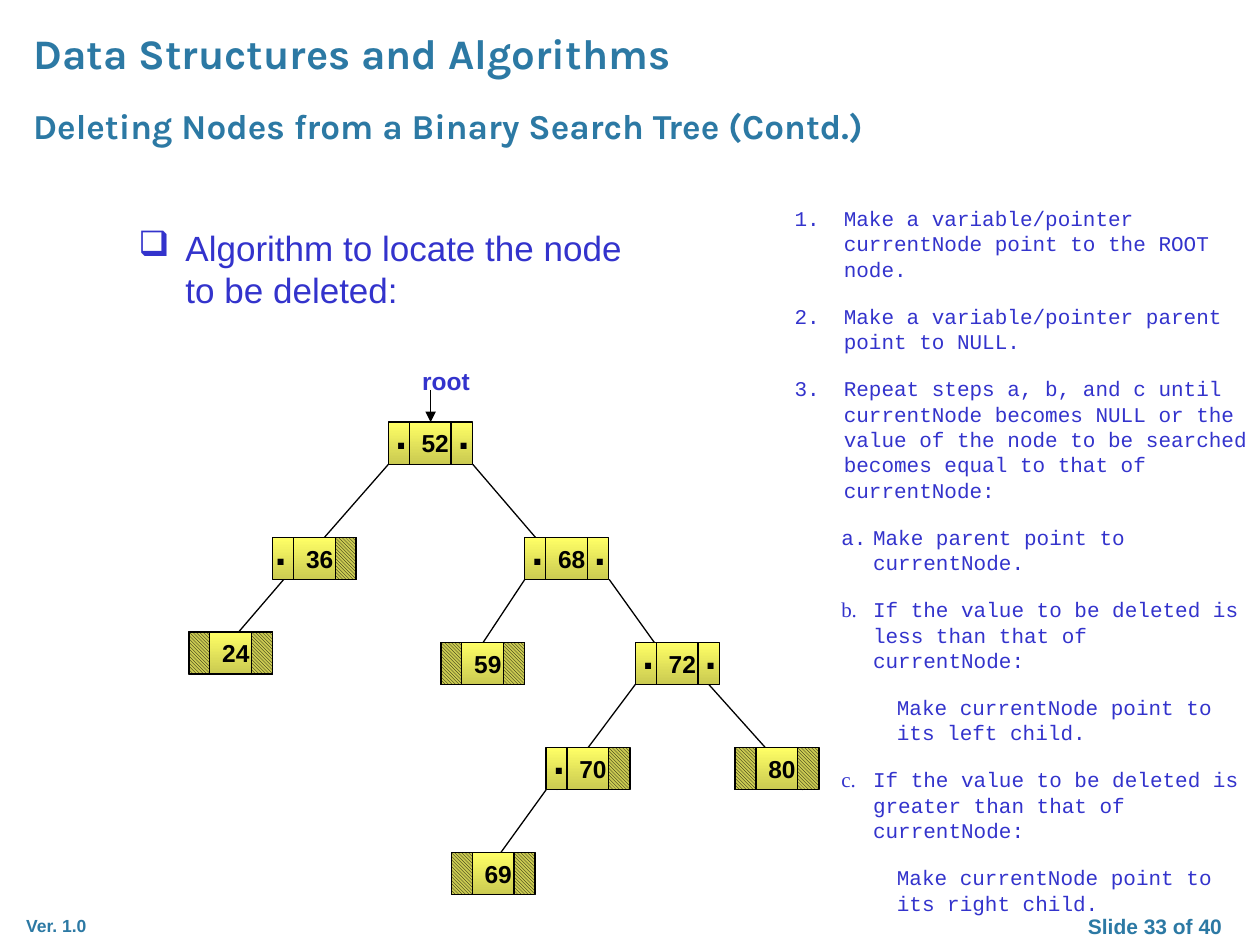
"""Build the slide on locating a node to delete in a binary search tree."""
from dataclasses import dataclass
from typing import NamedTuple

from lxml import etree
from pptx import Presentation
from pptx import util as u
from pptx.dml.color import RGBColor
from pptx.enum import dml, shapes, text
from pptx.oxml.ns import qn

COLORS = {"heading": "2C79A4", "body": "3333CC", "ink": "000000",
          "node_top": "FFFF66", "node_bottom": "CACA51"}
CELL, NODE_WIDTH, NODE_HEIGHT = 0.42, 1.69, 0.85


@dataclass
class Label:
    words: str
    left: float
    top: float
    width: float
    height: float
    size: float
    color: str = "ink"
    font: str = "Arial"
    bold: bool = True
    wrap: bool = True
    align: text.PP_ALIGN = text.PP_ALIGN.LEFT


@dataclass
class Node:
    key: str
    left: float
    top: float
    left_child: bool = False
    right_child: bool = False
    dot_shift: float = -0.11


class Edge(NamedTuple):
    x1: float
    y1: float
    x2: float
    y2: float


class Step(NamedTuple):
    words: str
    margin: float
    indent: float
    numbering: str = ""
    start: int = 1
    marker: str = ""


HEADINGS = [
    Label("Data Structures and Algorithms", 0.42, 0.42, 21.17, 1.29, 24, "heading", "Karla"),
    Label("Deleting Nodes from a Binary Search Tree (Contd.)", 0.42, 1.98, 19.05, 1.1, 20,
          "heading", "Karla"),
    Label("Ver. 1.0", 0.28, 18.33, 2.01, 0.68, 10, "heading"),
    Label("Slide 33 of 40", 21.17, 18.29, 4.23, 0.77, 12, "heading",
          align=text.PP_ALIGN.CENTER),
    Label("root", 8.26, 7.25, 2.12, 0.85, 14, "body"),
]
TOPIC = Label("Algorithm to locate the node to be deleted:", 2.54, 4.45, 11, 2.33, 20,
              "body", bold=False)
NODES = [
    Node("52", 7.83, 8.51, True, True),
    Node("36", 5.5, 10.84, True, dot_shift=-0.21),
    Node("68", 10.58, 10.84, True, True),
    Node("24", 3.81, 12.74),
    Node("59", 8.89, 12.95),
    Node("72", 12.81, 12.95, True, True),
    Node("70", 11.01, 15.07, True),
    Node("80", 14.82, 15.07),
    Node("69", 9.1, 17.19),
]
EDGES = [
    Edge(7.83, 9.36, 6.35, 11.05),
    Edge(9.53, 9.36, 10.8, 10.84),
    Edge(5.72, 11.68, 4.45, 13.16),
    Edge(10.58, 11.68, 9.74, 12.95),
    Edge(12.28, 11.68, 13.34, 13.16),
    Edge(13.12, 13.38, 11.22, 15.92),
    Edge(14.29, 13.8, 16.19, 15.92),
    Edge(11.01, 15.92, 9.95, 17.39),
]
ROOT_ARROW = Edge(8.68, 7.87, 8.68, 8.51)
STEPS = [
    Step("Make a variable/pointer currentNode point to the ROOT node.",
         0.99, -0.99, "arabicPeriod"),
    Step("Make a variable/pointer parent point to NULL.", 0.99, -0.99, "arabicPeriod", 2),
    Step("Repeat steps a, b, and c until currentNode becomes NULL or the value of the node "
         "to be searched becomes equal to that of currentNode:",
         0.99, -0.99, "arabicPeriod", 3),
    Step("Make parent point to currentNode.", 1.58, -0.64, "alphaLcPeriod"),
    Step("If the value to be deleted is less than that of currentNode:", 1.58, -0.64,
         marker="b."),
    Step("Make currentNode point to its left child.", 2.06, 0),
    Step("If the value to be deleted is greater than that of currentNode:", 1.58, -0.64,
         marker="c."),
    Step("Make currentNode point to its right child.", 2.06, 0),
]


def rgb(name: str) -> RGBColor:
    return RGBColor.from_string(COLORS[name])


def add_label(slide, label: Label):
    box = slide.shapes.add_textbox(*map(u.Cm, (label.left, label.top, label.width, label.height)))
    frame = box.text_frame
    frame.word_wrap = label.wrap
    line = frame.paragraphs[0]
    line.text = label.words
    line.alignment = label.align
    line.font.name, line.font.size, line.font.bold = label.font, u.Pt(label.size), label.bold
    line.font.color.rgb = rgb(label.color)
    return line


def set_indent(paragraph, margin: float, indent: float):
    props = paragraph._p.get_or_add_pPr()
    props.set("marL", str(u.Cm(margin)))
    props.set("indent", str(u.Cm(indent)))
    return props


def add_line(slide, edge: Edge, arrow: bool = False) -> None:
    line = slide.shapes.add_connector(shapes.MSO_CONNECTOR.STRAIGHT, *map(u.Cm, edge))
    line.line.color.rgb = rgb("ink")
    line.line.width = u.Pt(0.75)
    if arrow:
        etree.SubElement(line.line._get_or_add_ln(), qn("a:tailEnd"), type="triangle")
    etree.SubElement(line._element.spPr, qn("a:effectLst"))


def add_cell(slide, left: float, top: float, width: float, hatched: bool) -> None:
    cell = slide.shapes.add_shape(shapes.MSO_SHAPE.RECTANGLE,
                                  *map(u.Cm, (left, top, width, NODE_HEIGHT)))
    cell.shadow.inherit = False
    cell.line.color.rgb = rgb("ink")
    cell.line.width = u.Pt(0.75)
    if hatched:
        cell.fill.patterned()
        cell.fill.pattern = dml.MSO_PATTERN.DARK_DOWNWARD_DIAGONAL
        cell.fill.fore_color.rgb = rgb("ink")
        cell.fill.back_color.rgb = rgb("node_bottom")
    else:
        cell.fill.gradient()
        cell.fill.gradient_angle = 270
        for stop, name in zip(cell.fill.gradient_stops, ("node_top", "node_bottom")):
            stop.color.rgb = rgb(name)


def add_node(slide, node: Node) -> None:
    add_cell(slide, node.left, node.top, NODE_WIDTH, False)
    for offset in (CELL, 3 * CELL):
        x = node.left + offset
        add_line(slide, Edge(x, node.top, x, node.top + NODE_HEIGHT))
    for has_child, offset in ((node.left_child, 0), (node.right_child, 3 * CELL)):
        x = node.left + offset
        if has_child:
            add_label(slide, Label(".", x + node.dot_shift, node.top - CELL, 0.74, 1.27, 24,
                                   wrap=False))
        else:
            add_cell(slide, x, node.top, CELL, True)
    add_label(slide, Label(node.key, node.left + CELL, node.top, 1.07, NODE_HEIGHT, 14,
                           wrap=False))


def add_steps(slide) -> None:
    frame = slide.shapes.add_textbox(u.Cm(15.77), u.Cm(4.02), u.Cm(9.65), u.Cm(14.63)).text_frame
    frame.word_wrap = True
    for index, step in enumerate(STEPS):
        line = frame.add_paragraph() if index else frame.paragraphs[0]
        line.line_spacing = u.Pt(14.45)
        line.space_before = u.Pt(12.5 if index else 0)
        line.font.size = u.Pt(12)
        line.font.color.rgb = rgb("body")
        props = set_indent(line, step.margin, step.indent)
        if step.numbering:
            etree.SubElement(props, qn("a:buAutoNum"), type=step.numbering,
                             startAt=str(step.start))
            props.append(props.find(qn("a:defRPr")))
        pieces = [(step.words, "Courier New")]
        if step.marker:
            pieces = [(step.marker, "Times New Roman"), ("\t" + step.words, "Courier New")]
        for words, font in pieces:
            run = line.add_run()
            run.text = words
            run.font.name = font


def build() -> None:
    deck = Presentation()
    deck.slide_width, deck.slide_height = u.Cm(25.4), u.Cm(19.05)
    slide = deck.slides.add_slide(deck.slide_layouts[6])
    for heading in HEADINGS:
        add_label(slide, heading)
    props = set_indent(add_label(slide, TOPIC), 0.95, -0.95)
    etree.SubElement(props, qn("a:buChar"), char="❑")
    props.append(props.find(qn("a:defRPr")))
    for edge in EDGES:
        add_line(slide, edge)
    for node in NODES:
        add_node(slide, node)
    add_line(slide, ROOT_ARROW, arrow=True)
    add_steps(slide)
    deck.save("out.pptx")


build()
